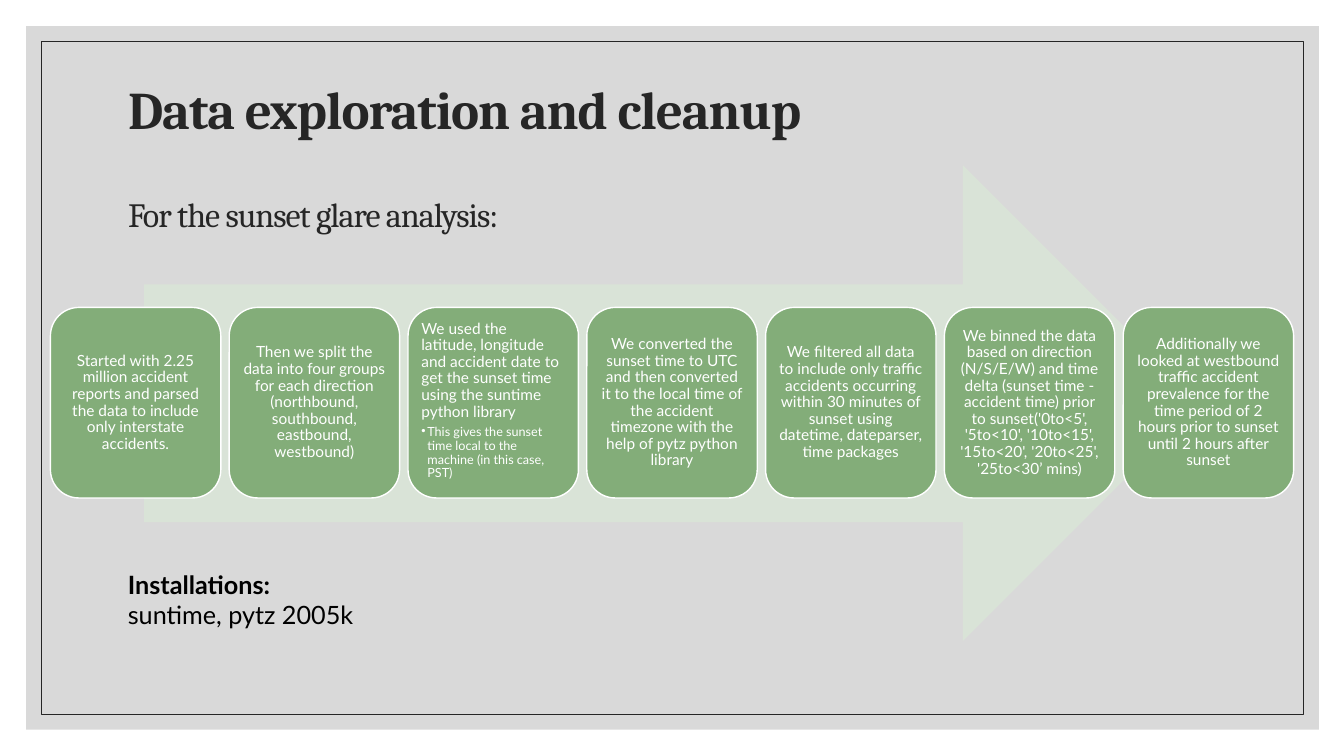
"""Build the data exploration and cleanup slide."""
from dataclasses import dataclass

import pptx
import pptx.dml.color
import pptx.enum.shapes
import pptx.enum.text
import pptx.oxml
import pptx.oxml.ns
import pptx.util
from pptx.util import Inches

SHAPES = pptx.enum.shapes.MSO_SHAPE
ALIGN = pptx.enum.text.PP_ALIGN
ANCHOR = pptx.enum.text.MSO_ANCHOR


@dataclass(frozen=True)
class Theme:
    """Hold the fonts, colours and type sizes of the slide."""
    heading_font: str = "Cambria"
    body_font: str = "Lato"
    panel: str = "D9D9D9"
    ink: str = "262626"
    arrow: str = "D9E3D7"
    card: str = "83AD79"
    white: str = "FFFFFF"
    black: str = "000000"
    title_size: float = 37.8
    subtitle_size: float = 24.3
    note_size: float = 18
    card_size: float = 11
    detail_size: float = 9


THEME = Theme()

STEPS = [
    ("Started with 2.25 million accident reports and parsed the data to include "
     "only interstate accidents.", None),
    ("Then we split the data into four groups for each direction (northbound, "
     "southbound, eastbound, westbound)", None),
    ("We used the latitude, longitude and accident date to get the sunset time "
     "using the suntime python library",
     "This gives the sunset time local to the machine (in this case, PST)"),
    ("We converted the sunset time to UTC and then converted it to the local time "
     "of the accident timezone with the help of pytz python library", None),
    ("We filtered all data to include only traffic accidents occurring within 30 "
     "minutes of sunset using datetime, dateparser, time packages", None),
    ("We binned the data based on direction (N/S/E/W) and time delta (sunset time - "
     "accident time) prior to sunset('0to<5', '5to<10', '10to<15', '15to<20', "
     "'20to<25', '25to<30’ mins)", None),
    ("Additionally we looked at westbound traffic accident prevalence for the time "
     "period of 2 hours prior to sunset until 2 hours after sunset", None),
]


def rgb(color):
    """Return a colour object for a hex string."""
    return pptx.dml.color.RGBColor.from_string(color)


def add_block(slide, kind, box, fill=None, line=None, width=1):
    """Add a preset shape with a plain fill and outline."""
    shape = slide.shapes.add_shape(kind, *map(Inches, box))
    shape.shadow.inherit = False
    if fill:
        shape.fill.solid()
        shape.fill.fore_color.rgb = rgb(fill)
    else:
        shape.fill.background()
    if line:
        shape.line.color.rgb = rgb(line)
        shape.line.width = pptx.util.Pt(width)
    else:
        shape.line.fill.background()
    return shape


def style(paragraph, font, size, color, bold=False, align=ALIGN.LEFT):
    """Set the font and alignment of a paragraph."""
    paragraph.alignment = align
    paragraph.font.name = font
    paragraph.font.size = pptx.util.Pt(size)
    paragraph.font.bold = bold
    paragraph.font.color.rgb = rgb(color)


def add_bullet(paragraph, indent):
    """Give a paragraph a round bullet with a hanging indent."""
    properties = paragraph._p.get_or_add_pPr()
    properties.set("marL", str(indent))
    properties.set("indent", str(-indent))
    namespace = pptx.oxml.ns.nsdecls("a")
    properties.append(pptx.oxml.parse_xml(f'<a:buChar {namespace} char="•"/>'))


def set_title(slide):
    """Fill the title placeholder with a heading and a subheading."""
    title = slide.shapes.title
    title.element.getparent().append(title.element)
    title.left, title.top, title.width, title.height = map(Inches, (1.17, 0.83, 11, 1.5))
    frame = title.text_frame
    frame.text = "Data exploration and cleanup\nFor the sunset glare analysis:"
    frame.auto_size = pptx.enum.text.MSO_AUTO_SIZE.NONE
    frame.word_wrap = True
    frame.vertical_anchor = ANCHOR.MIDDLE
    heading, subheading = frame.paragraphs
    style(heading, THEME.heading_font, THEME.title_size, THEME.ink, bold=True)
    style(subheading, THEME.heading_font, THEME.subtitle_size, THEME.ink)
    subheading.space_before = pptx.util.Pt(41)
    for paragraph in frame.paragraphs:
        paragraph.line_spacing = 0.9
        paragraph.runs[0]._r.get_or_add_rPr().set("spc", "-70")


def add_card(slide, left, text, detail):
    """Add one step card, with a bulleted detail when there is one."""
    card = add_block(slide, SHAPES.ROUNDED_RECTANGLE, (left, 3.05, 1.69, 1.89),
                     THEME.card, THEME.white)
    frame = card.text_frame
    frame.word_wrap = True
    frame.vertical_anchor = ANCHOR.TOP if detail else ANCHOR.MIDDLE
    frame.margin_left = frame.margin_right = Inches(0.05)
    frame.margin_top = frame.margin_bottom = Inches(0.05)
    paragraph = frame.paragraphs[0]
    paragraph.text = text
    paragraph.line_spacing = 0.9
    paragraph.space_after = pptx.util.Pt(4)
    style(paragraph, THEME.body_font, THEME.card_size, THEME.white,
          align=ALIGN.LEFT if detail else ALIGN.CENTER)
    if detail:
        bullet = frame.add_paragraph()
        bullet.text = detail
        add_bullet(bullet, Inches(0.06))
        bullet.line_spacing = 0.9
        bullet.space_after = pptx.util.Pt(1.5)
        style(bullet, THEME.body_font, THEME.detail_size, THEME.white)


def add_installations(slide):
    """Add the note that lists the installed packages."""
    box = slide.shapes.add_textbox(*map(Inches, (1.17, 5.6, 3.44, 1.01)))
    frame = box.text_frame
    frame.word_wrap = True
    frame.text = "Installations:\nsuntime, pytz 2005k"
    for paragraph, bold in zip(frame.paragraphs, (True, False)):
        style(paragraph, THEME.body_font, THEME.note_size, THEME.black, bold)


def main():
    """Build and save the presentation."""
    presentation = pptx.Presentation()
    presentation.slide_width = Inches(13.33)
    presentation.slide_height = Inches(7.5)
    slide = presentation.slides.add_slide(presentation.slide_layouts[5])
    add_block(slide, SHAPES.RECTANGLE, (0.26, 0.26, 12.82, 6.98), THEME.panel)
    add_block(slide, SHAPES.RECTANGLE, (0.41, 0.41, 12.52, 6.68), line=THEME.ink, width=0.5)
    set_title(slide)
    add_block(slide, SHAPES.RIGHT_ARROW, (1.43, 1.64, 10.48, 4.72), THEME.arrow)
    first, last = 0.5, 11.14
    pitch = (last - first) / (len(STEPS) - 1)
    for index, (text, detail) in enumerate(STEPS):
        add_card(slide, first + index * pitch, text, detail)
    add_installations(slide)
    presentation.save("out.pptx")


if __name__ == "__main__":
    main()
